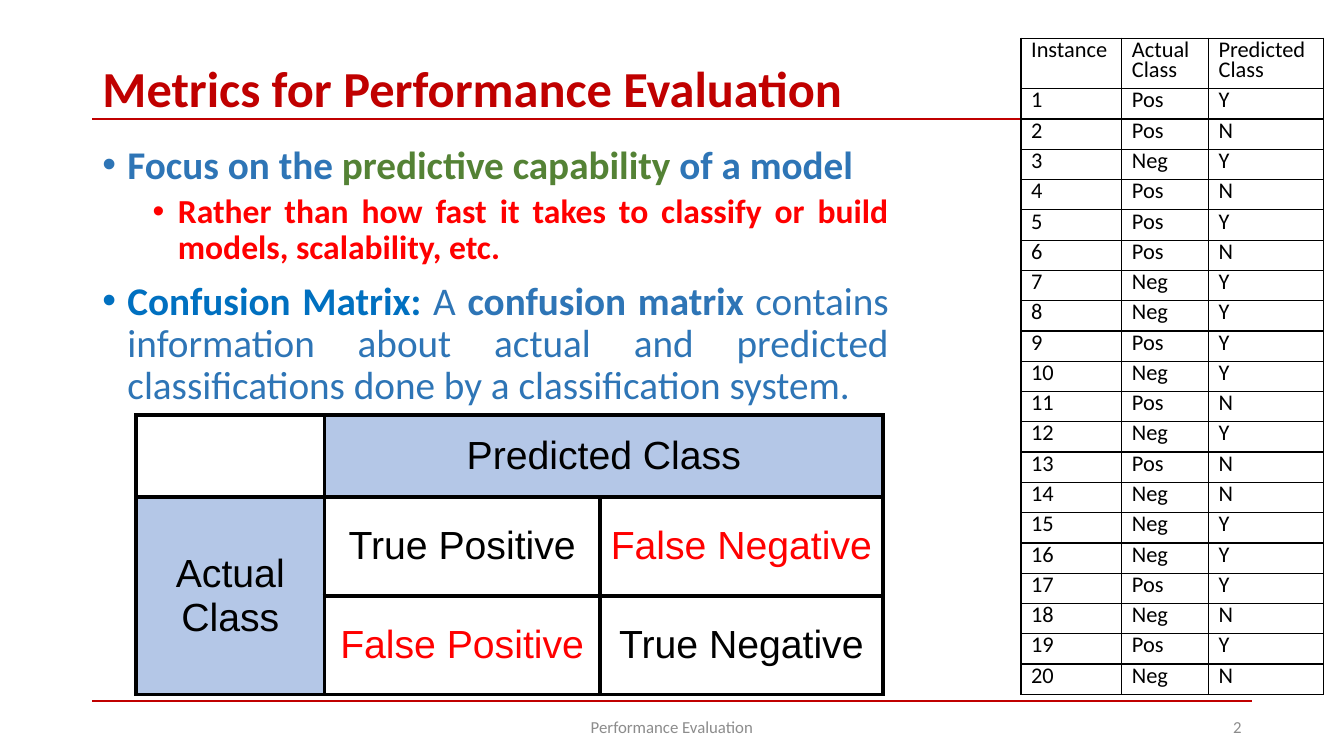
from lxml.etree import SubElement
from pptx import Presentation
from pptx.dml.color import RGBColor
from pptx.enum.shapes import MSO_CONNECTOR
from pptx.enum.text import MSO_ANCHOR, PP_ALIGN
from pptx.oxml.ns import qn
from pptx.util import Inches, Pt

BLACK = RGBColor(0x00, 0x00, 0x00)
CRIMSON = RGBColor(0xC0, 0x00, 0x00)
RED = RGBColor(0xFF, 0x00, 0x00)
BLUE = RGBColor(0x2E, 0x75, 0xB6)
BRIGHT_BLUE = RGBColor(0x00, 0x70, 0xC0)
GREEN = RGBColor(0x54, 0x82, 0x35)
GREY = RGBColor(0x8C, 0x8C, 0x8C)
PALE_BLUE = RGBColor(0xB4, 0xC7, 0xE7)

COLS, ROWS = 160, 90
LEFT, WIDTH = 11, 138

BULLETS = [
    (0, 28, [("Focus on the ", BLUE, True),
             ("predictive capability ", GREEN, True),
             ("of a model", BLUE, True)]),
    (1, 24, [("Rather than how fast it takes to classify or build models, "
              "scalability, etc.", RED, True)]),
    (0, 28, [("Confusion Matrix: ", BRIGHT_BLUE, True),
             ("A ", BLUE, False),
             ("confusion matrix", BLUE, True),
             (" contains information about actual and predicted "
              "classifications done by a classification system.", BLUE, False)]),
]
MATRIX = [["", "Predicted Class", ""],
          ["Actual Class", "True Positive", "False Negative"],
          ["", "False Positive", "True Negative"]]
ACTUAL = "PPNPPPNNPNPNPNNNPNPN"
PREDICTED = "YNYNYNYYYYNYNNYYYNYN"
CLASSES = {"P": "Pos", "N": "Neg"}


def grid(*units):
    """Turn grid units, twelve to the inch, into lengths."""
    return [Inches(n / 12) for n in units]


def style(obj, **values):
    """Set each given attribute; a colour goes to the font colour."""
    for name, value in values.items():
        if name == "color":
            obj.color.rgb = value
        else:
            setattr(obj, name, value)


def add_run(p, text, size, color, bold=False, name="Calibri"):
    """Append a formatted run to a paragraph."""
    r = p.add_run()
    r.text = text
    style(r.font, size=Pt(size), color=color, bold=bold, name=name)


def add_rule(slide, y):
    """Draw a red rule across the content width."""
    x1, x2, y = grid(LEFT, LEFT + WIDTH, y)
    line = slide.shapes.add_connector(MSO_CONNECTOR.STRAIGHT, x1, y, x2, y)
    line.line.color.rgb = CRIMSON
    line.line.width = Pt(1.5)
    SubElement(line._element.spPr, qn("a:effectLst"))


def add_title(slide, box, text):
    """Place and format the title placeholder."""
    sp = slide.shapes.title
    style(sp, **dict(zip(("left", "top", "width", "height"), grid(*box))))
    style(sp.text_frame, vertical_anchor=MSO_ANCHOR.MIDDLE, word_wrap=True)
    p = sp.text_frame.paragraphs[0]
    style(p, alignment=PP_ALIGN.LEFT, line_spacing=0.9)
    add_run(p, text, 36, CRIMSON, bold=True)


def add_bullets(slide, box):
    """Write the justified bullet list in the given box."""
    tf = slide.shapes.add_textbox(*grid(*box)).text_frame
    tf.word_wrap = True
    for i, (level, size, runs) in enumerate(BULLETS):
        p = tf.add_paragraph() if i else tf.paragraphs[0]
        style(p, level=level, alignment=PP_ALIGN.JUSTIFY, line_spacing=0.9)
        if i:
            p.space_before = Pt(5 if level else 10)
        pPr = p._p.get_or_add_pPr()
        pPr.set("marL", str(Inches(0.25 + 0.5 * level)))
        pPr.set("indent", str(Inches(-0.25)))
        SubElement(pPr, qn("a:buFont"), typeface="Arial")
        SubElement(pPr, qn("a:buChar"), char="•")
        for text, color, bold in runs:
            add_run(p, text, size, color, bold)


def add_footer(slide, box, text, align):
    """Write one grey footer text."""
    tf = slide.shapes.add_textbox(*grid(*box)).text_frame
    style(tf, word_wrap=True, vertical_anchor=MSO_ANCHOR.MIDDLE)
    tf.paragraphs[0].alignment = align
    add_run(tf.paragraphs[0], text, 12, GREY)


def add_borders(cell, width):
    """Give a cell solid black borders on all four sides."""
    tcPr = cell._tc.get_or_add_tcPr()
    for side in ("lnL", "lnR", "lnT", "lnB"):
        ln = SubElement(tcPr, qn(f"a:{side}"), w=str(Pt(width)))
        fill = SubElement(ln, qn("a:solidFill"))
        SubElement(fill, qn("a:srgbClr"), val=str(BLACK))


def add_grid_table(slide, corner, widths, heights, border):
    """Add an unfilled, bordered table at the given corner."""
    box = grid(*corner, sum(widths), sum(heights))
    table = slide.shapes.add_table(len(heights), len(widths), *box).table
    style(table, first_row=False, horz_banding=False)
    for column, width in zip(table.columns, grid(*widths)):
        column.width = width
    for row, height in zip(table.rows, grid(*heights)):
        row.height = height
    for cell in table.iter_cells():
        add_borders(cell, border)
        cell.fill.background()
    return table


def add_confusion_matrix(slide, corner):
    """Build the confusion matrix with its merged headings."""
    table = add_grid_table(slide, corner, (22.44, 32.76, 33.72),
                           (9.72, 11.76, 11.76), 3)
    table.cell(0, 1).merge(table.cell(0, 2))
    table.cell(1, 0).merge(table.cell(2, 0))
    for i, row in enumerate(MATRIX):
        for j, text in enumerate(row):
            if not text:
                continue
            cell = table.cell(i, j)
            cell.vertical_anchor = MSO_ANCHOR.MIDDLE
            p = cell.text_frame.paragraphs[0]
            p.alignment = PP_ALIGN.CENTER
            add_run(p, text, 28, RED if text.startswith("False") else BLACK,
                    name="Arial")
            if text.endswith("Class"):
                cell.fill.solid()
                cell.fill.fore_color.rgb = PALE_BLUE


def add_instances(slide, corner):
    """List every instance with its actual and predicted class."""
    rows = [("Instance", "Actual Class", "Predicted Class")]
    for n, (actual, predicted) in enumerate(zip(ACTUAL, PREDICTED), 1):
        rows.append((str(n), CLASSES[actual], predicted))
    table = add_grid_table(slide, corner, (12, 10.32, 13.68),
                           [6] + [3.6] * len(ACTUAL), 1)
    for cell, text in zip(table.iter_cells(), sum(rows, ())):
        p = cell.text_frame.paragraphs[0]
        p.line_spacing = Pt(14.4)
        add_run(p, text, 16, BLACK)


def main():
    """Build the slide and save it."""
    prs = Presentation()
    prs.slide_width, prs.slide_height = grid(COLS, ROWS)
    slide = prs.slides.add_slide(prs.slide_layouts[5])
    for y in (14.16, 83.4):
        add_rule(slide, y)
    add_title(slide, (LEFT, 7.3, WIDTH, 7), "Metrics for Performance Evaluation")
    add_bullets(slide, (LEFT, 16.7, 96, 64.4))
    add_footer(slide, (53, 84.1, 54, 4.8), "Performance Evaluation", PP_ALIGN.CENTER)
    add_footer(slide, (113, 84.1, 36, 4.8), "2", PP_ALIGN.RIGHT)
    add_confusion_matrix(slide, (16.2, 49.44))
    add_instances(slide, (121.56, 4.56))
    prs.save("out.pptx")


if __name__ == "__main__":
    main()
